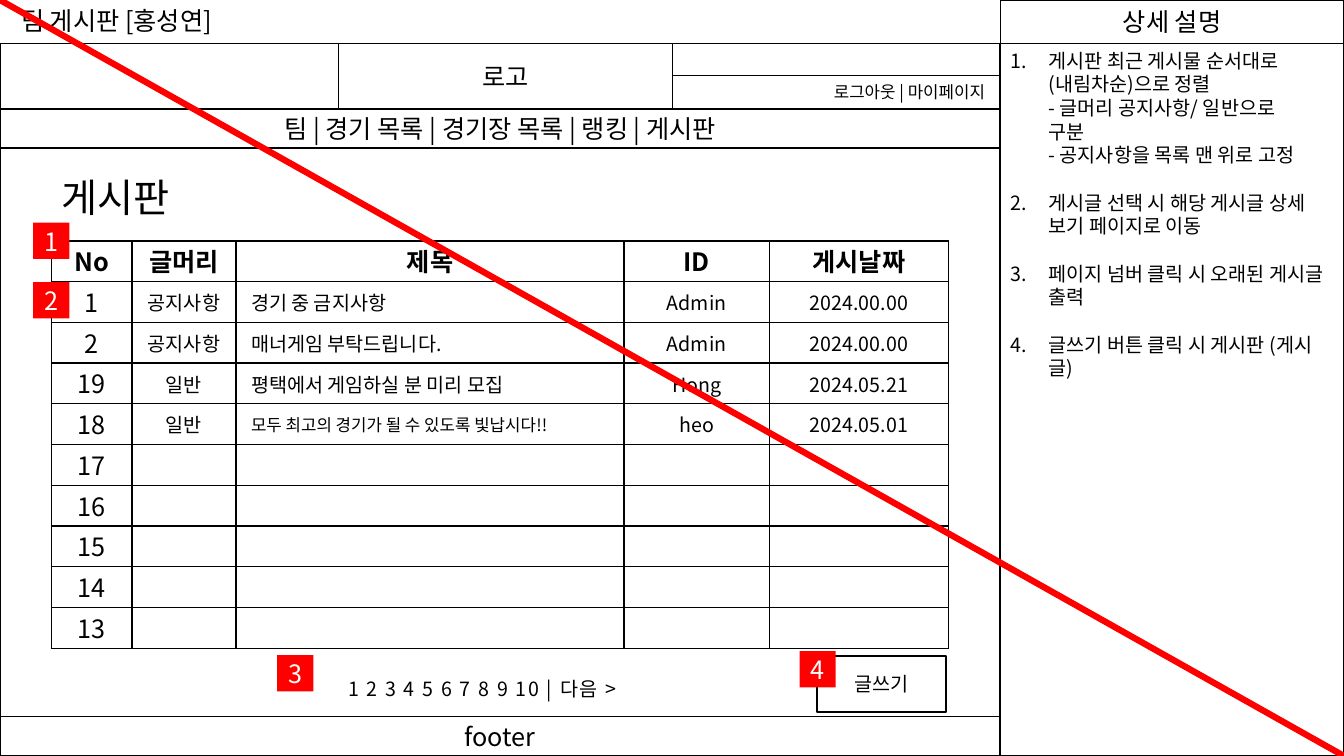
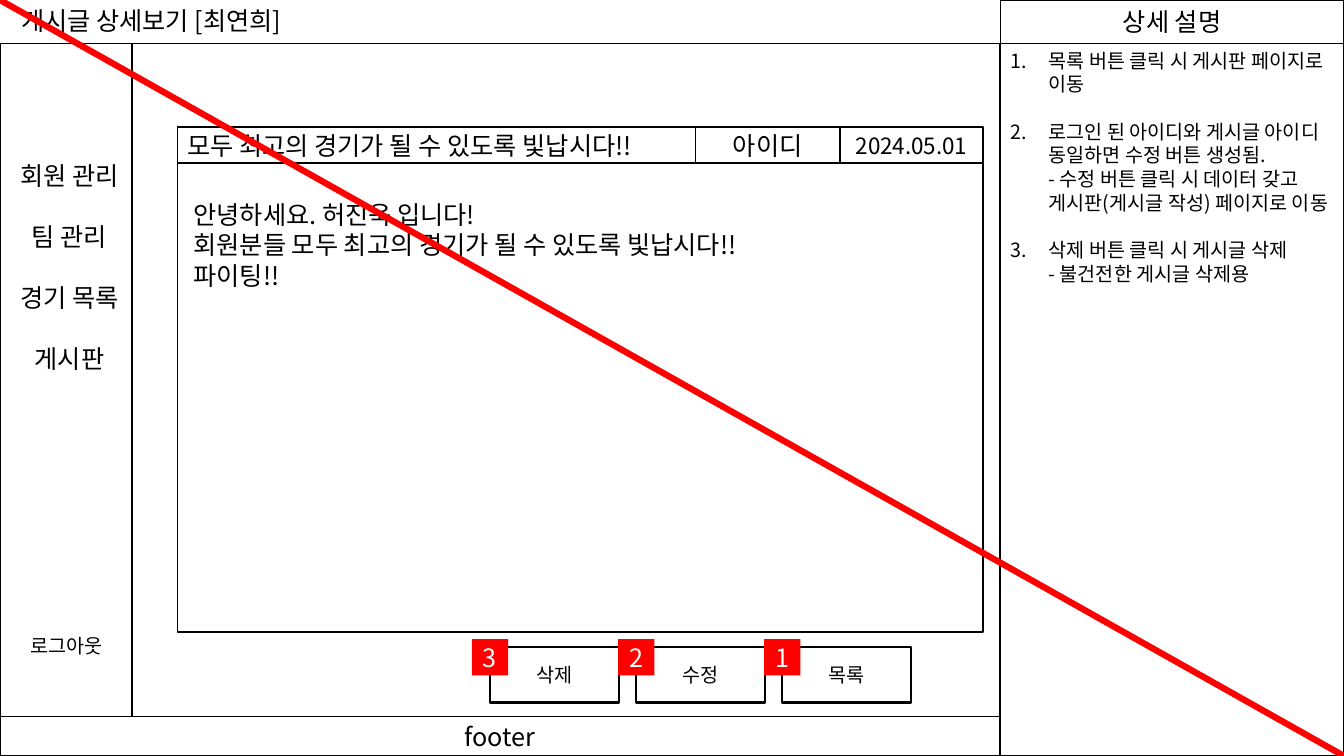
from lxml.etree import SubElement
from pptx import Presentation
from pptx.dml.color import RGBColor
from pptx.enum.shapes import MSO_CONNECTOR as Connector, MSO_SHAPE as Preset
from pptx.enum.text import MSO_ANCHOR as Anchor, MSO_AUTO_SIZE as AutoSize, PP_ALIGN as Align
from pptx.oxml.ns import qn
from pptx.util import Inches, Pt


class Theme:
    font = "Noto Sans CJK KR"
    ink, paper, red = (RGBColor.from_string(c) for c in ("000000", "FFFFFF", "FF0000"))
    heading, large, medium, normal, small = 28, 18, 16, 14, 12
    leading = 1.21
    thin, button, strike = 1, 1.5, 4.5


# Content
DESCRIPTION_HEADING = "상세 설명"
FOOTER = "footer"
BOARD = {
    "title": "팀 게시판 [홍성연]",
    "notes": [
        "게시판 최근 게시물 순서대로(내림차순)으로 정렬\v- 글머리 공지사항/ 일반으로\v구분"
        "\v- 공지사항을 목록 맨 위로 고정",
        "게시글 선택 시 해당 게시글 상세 보기 페이지로 이동",
        "페이지 넘버 클릭 시 오래된 게시글 출력",
        "글쓰기 버튼 클릭 시 게시판 (게시글)",
    ],
    "logo": "로고",
    "account": "로그아웃 | 마이페이지",
    "menu": "팀 | 경기 목록 | 경기장 목록 | 랭킹 | 게시판",
    "heading": "게시판",
    "columns": ["No", "글머리", "제목", "ID", "게시날짜"],
    "posts": [
        ("1", "공지사항", "경기 중 금지사항", "Admin", "2024.00.00"),
        ("2", "공지사항", "매너게임 부탁드립니다.", "Admin", "2024.00.00"),
        ("19", "일반", "평택에서 게임하실 분 미리 모집", "Hong", "2024.05.21"),
        ("18", "일반", "모두 최고의 경기가 될 수 있도록 빛납시다!!", "heo", "2024.05.01"),
        *((str(number), "", "", "", "") for number in range(17, 12, -1)),
    ],
    "pages": "1 2 3 4 5 6 7 8 9 10 | 다음 >",
    "write": "글쓰기",
}
POST = {
    "title": "게시글 상세보기 [최연희]",
    "notes": [
        "목록 버튼 클릭 시 게시판 페이지로 이동",
        "로그인 된 아이디와 게시글 아이디 동일하면 수정 버튼 생성됨."
        "\v- 수정 버튼 클릭 시 데이터 갖고 게시판(게시글 작성) 페이지로 이동",
        "삭제 버튼 클릭 시 게시글 삭제\v- 불건전한 게시글 삭제용",
    ],
    "subject": "모두 최고의 경기가 될 수 있도록 빛납시다!!",
    "author": "아이디",
    "date": "2024.05.01",
    "message": ["안녕하세요. 허진욱 입니다!",
                "회원분들 모두 최고의 경기가 될 수 있도록 빛납시다!!", "파이팅!!"],
    "buttons": [("3", "삭제"), ("2", "수정"), ("1", "목록")],
    "menu": ["회원 관리", "팀 관리", "경기 목록", "게시판"],
    "logout": "로그아웃",
}

# Page grid, in inches
WIDTH, HEIGHT = 13.33, 7.5
MAIN, TOP, BOTTOM = 9.92, 0.43, 7.11
SIDE = WIDTH - MAIN
BADGE, BUTTON = 0.36, (1.28, 0.55)
COLUMNS, ROW = [0.8, 1.03, 3.85, 1.44, 1.78], 0.404


def style(text_frame, size, align=Align.LEFT, color=Theme.ink, bold=False, gap=0, spacing=0):
    for index, paragraph in enumerate(text_frame.paragraphs):
        paragraph.alignment = align
        paragraph.line_spacing = Pt(round(size * Theme.leading, 1))
        paragraph.space_before = Pt(gap if index else 0)
        for run in paragraph.runs:
            run.font.size, run.font.bold, run.font.name = Pt(size), bold, Theme.font
            run.font.color.rgb = color
            properties = run._r.get_or_add_rPr()
            SubElement(properties, qn("a:ea"), typeface=Theme.font)
            if spacing:
                properties.set("spc", str(int(spacing * 100)))


def place(shape, left, top, width, height):
    shape.left, shape.top = Inches(left), Inches(top)
    shape.width, shape.height = Inches(width), Inches(height)


def add_box(slide, area, text="", size=Theme.large, align=Align.CENTER, color=Theme.ink,
            fill=Theme.paper, line=Theme.thin, spacing=0):
    shape = slide.shapes.add_shape(Preset.RECTANGLE, *map(Inches, area))
    shape.shadow.inherit = False
    shape.fill.solid()
    shape.fill.fore_color.rgb = fill
    if line:
        shape.line.color.rgb, shape.line.width = Theme.ink, Pt(line)
    else:
        shape.line.fill.background()
    if text:
        shape.text_frame.text = text
        shape.text_frame.vertical_anchor = Anchor.MIDDLE
        style(shape.text_frame, size, align, color, spacing=spacing)
    return shape


def add_text(slide, area, text, size, wrap=True, **options):
    box = slide.shapes.add_textbox(*map(Inches, area))
    box.text_frame.word_wrap = wrap
    box.text_frame.text = text
    style(box.text_frame, size, **options)


def add_badge(slide, left, top, number):
    add_box(slide, (left, top, BADGE, BADGE), number,
            color=Theme.paper, fill=Theme.red, line=None)


def add_strike(slide):
    line = slide.shapes.add_connector(Connector.STRAIGHT, 0, 0, Inches(WIDTH), Inches(HEIGHT))
    line.line.color.rgb, line.line.width = Theme.red, Pt(Theme.strike)
    SubElement(line.element.spPr, qn("a:effectLst"))


def build_layout(slide):
    """Put the shared panels on the layout of the slide."""
    panels = [
        add_box(slide, (MAIN, TOP, SIDE, HEIGHT - TOP)),
        add_box(slide, (MAIN, 0, SIDE, TOP), DESCRIPTION_HEADING),
        add_box(slide, (0, TOP, MAIN, BOTTOM - TOP)),
        add_box(slide, (0, BOTTOM, MAIN, HEIGHT - BOTTOM), FOOTER),
    ]
    for number, panel in enumerate(panels, 101):
        panel.element.nvSpPr.cNvPr.set("id", str(number))
        slide.slide_layout.shapes.element.append(panel.element)


def fill_placeholders(slide, content):
    title, notes = slide.placeholders
    place(title, 0.11, 0, MAIN - 0.11, 0.4)
    place(notes, MAIN, TOP, SIDE, HEIGHT - TOP)
    title.text_frame.text = content["title"]
    notes.text_frame.text = "\n".join(content["notes"])
    for placeholder in (title, notes):
        placeholder.text_frame.auto_size = AutoSize.NONE
        placeholder.text_frame.vertical_anchor = Anchor.TOP
    for paragraph in notes.text_frame.paragraphs:
        properties = paragraph._p.get_or_add_pPr()
        properties.set("marL", str(Inches(0.38)))
        properties.set("indent", str(-Inches(0.38)))
        SubElement(properties, qn("a:buFont"), typeface=Theme.font)
        SubElement(properties, qn("a:buAutoNum"), type="arabicPeriod")
    style(title.text_frame, Theme.large)
    style(notes.text_frame, Theme.normal, gap=Theme.normal * Theme.leading)


def border(cell):
    properties = cell._tc.get_or_add_tcPr()
    for index, side in enumerate(("lnL", "lnR", "lnT", "lnB")):
        line = properties.makeelement(qn(f"a:{side}"), {"w": str(Pt(Theme.thin))})
        fill = SubElement(line, qn("a:solidFill"))
        SubElement(fill, qn("a:srgbClr"), val=str(Theme.ink))
        properties.insert(index, line)


def add_posts(slide, left, top):
    rows = [BOARD["columns"], *BOARD["posts"]]
    frame = slide.shapes.add_table(len(rows), len(COLUMNS), Inches(left), Inches(top),
                                   Inches(sum(COLUMNS)), Inches(ROW * len(rows)))
    table = frame.table
    table.first_row = table.horz_banding = False
    for column, width in zip(table.columns, COLUMNS):
        column.width = Inches(width)
    for row_index, values in enumerate(rows):
        table.rows[row_index].height = Inches(ROW)
        for column_index, value in enumerate(values):
            cell = table.cell(row_index, column_index)
            cell.fill.solid()
            cell.fill.fore_color.rgb = Theme.paper
            cell.vertical_anchor = Anchor.MIDDLE
            cell.margin_top, cell.margin_bottom = Inches(0.07), Inches(0.02)
            border(cell)
            cell.text_frame.text = value
            header, subject = row_index == 0, column_index == 2 and row_index > 0
            size = Theme.large if header or column_index == 0 else Theme.normal
            if subject:
                cell.margin_left = Inches(0.15)
                size = Theme.small if len(value) > 20 else size
            style(cell.text_frame, size, Align.LEFT if subject else Align.CENTER, bold=header)


def build_board(slide):
    # Site header and menu
    logo_left, logo_right, menu_top, account_top = 3.36, 6.67, 1.08, 0.75
    add_box(slide, (0, TOP, MAIN, menu_top - TOP))
    add_box(slide, (logo_left, TOP, logo_right - logo_left, menu_top - TOP), BOARD["logo"])
    account = add_box(slide, (logo_right, account_top, MAIN - logo_right, menu_top - account_top),
                      BOARD["account"], Theme.small, Align.RIGHT)
    account.text_frame.margin_right = Inches(0.15)
    add_box(slide, (0, menu_top, MAIN, 0.39), BOARD["menu"])
    # List of posts
    add_text(slide, (0.51, 1.67, 1.38, 0.57), BOARD["heading"], Theme.heading, wrap=False)
    add_posts(slide, 0.51, 2.39)
    # Page numbers and button
    add_box(slide, (2.37, 6.59, 4.83, 0.48), BOARD["pages"], Theme.normal, line=None, spacing=1.2)
    add_box(slide, (8.1, 6.51, *BUTTON), BOARD["write"], Theme.normal, line=Theme.button)
    for number, (left, top) in enumerate([(0.33, 2.21), (0.33, 2.8), (2.75, 6.5), (7.93, 6.46)], 1):
        add_badge(slide, left, top, str(number))


def build_post(slide):
    # Side menu
    sidebar = 1.31
    add_box(slide, (0, TOP, sidebar, BOTTOM - TOP))
    add_text(slide, (0, 1.54, 1.38, 2.22), "\n".join(POST["menu"]), Theme.large,
             align=Align.CENTER, gap=Theme.large * Theme.leading)
    add_text(slide, (0.2, 6.24, sidebar, 0.34), POST["logout"], Theme.normal)
    # Post heading and message
    left, top, height = 1.76, 1.26, 0.36
    for text, width, size, align in [(POST["subject"], 5.14, Theme.large, Align.LEFT),
                                     (POST["author"], 1.43, Theme.large, Align.CENTER),
                                     (POST["date"], 1.42, Theme.medium, Align.CENTER)]:
        add_box(slide, (left, top, width, height), text, size, align)
        left += width
    message = add_box(slide, (1.76, top + height, 7.99, 4.65),
                      "\n".join(POST["message"]), align=Align.LEFT)
    message.text_frame.vertical_anchor = Anchor.TOP
    message.text_frame.margin_left, message.text_frame.margin_top = Inches(0.16), Inches(0.35)
    # Buttons
    for index, (number, label) in enumerate(POST["buttons"]):
        left, top = 4.86 + 1.45 * index, 6.42
        add_box(slide, (left, top, *BUTTON), label, Theme.normal, line=Theme.button)
        add_badge(slide, left - 0.18, top - 0.08, number)


def main():
    presentation = Presentation()
    presentation.slide_width, presentation.slide_height = Inches(WIDTH), Inches(HEIGHT)
    layout = presentation.slide_layouts[1]
    for index, (content, build) in enumerate([(BOARD, build_board), (POST, build_post)]):
        slide = presentation.slides.add_slide(layout)
        if index == 0:
            build_layout(slide)
        fill_placeholders(slide, content)
        build(slide)
        add_strike(slide)
    presentation.save("out.pptx")


if __name__ == "__main__":
    main()
